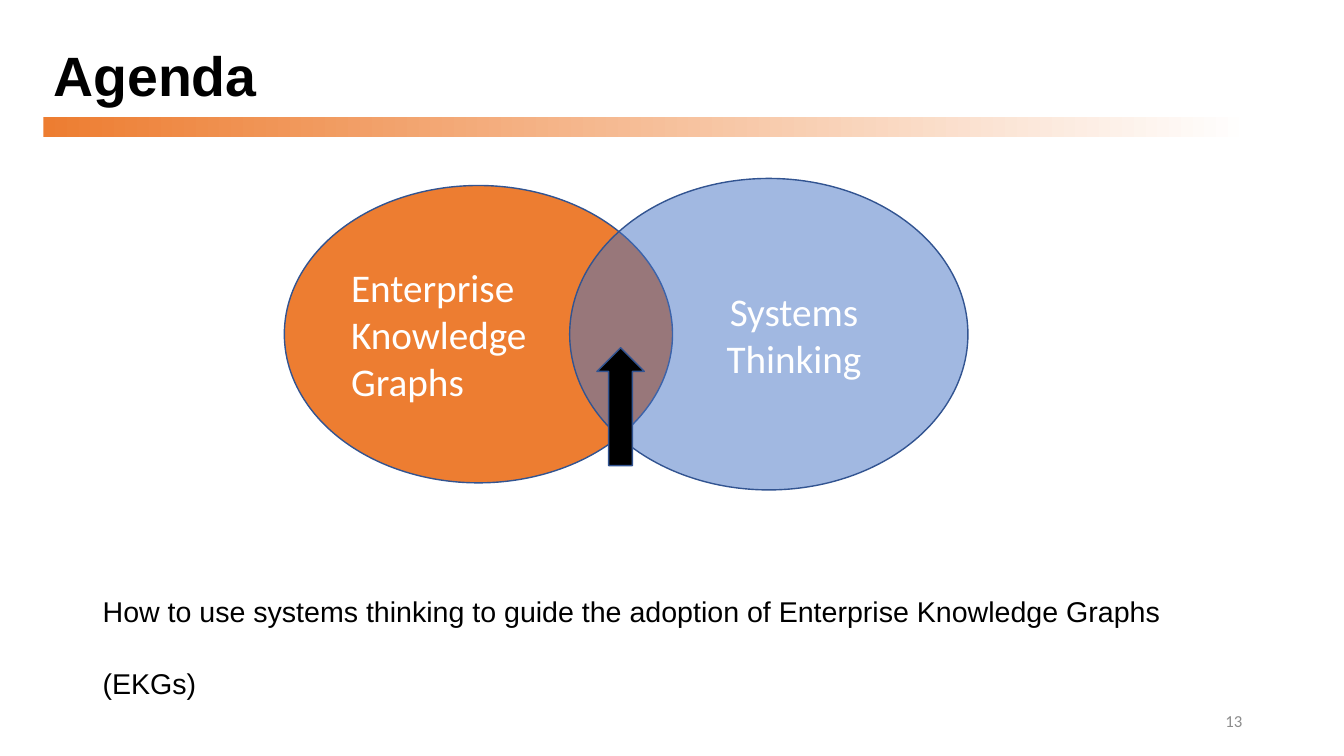
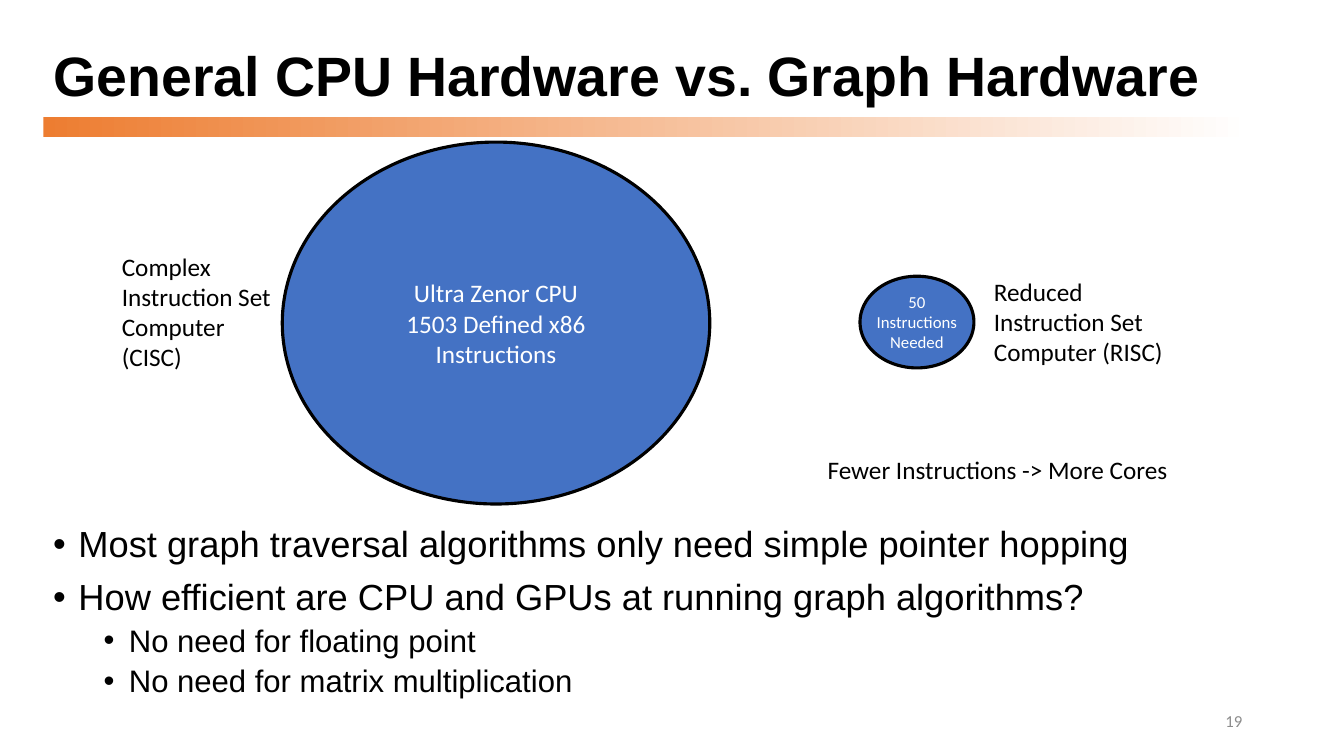
"""Build two slides on enterprise knowledge graphs and graph hardware."""
from dataclasses import dataclass
from typing import Optional

import lxml.etree
import pptx
import pptx.dml.color
import pptx.dml.fill
import pptx.enum.shapes
import pptx.enum.text
import pptx.oxml.ns
import pptx.presentation
import pptx.shapes.autoshape
import pptx.slide
import pptx.text.text
import pptx.util

Inches = pptx.util.Inches
Pt = pptx.util.Pt
Align = pptx.enum.text.PP_ALIGN
Anchor = pptx.enum.text.MSO_ANCHOR
Preset = pptx.enum.shapes.MSO_SHAPE

ORANGE, BLUE, NAVY = "ED7D31", "4472C4", "325491"
BLACK, WHITE, GRAY = "000000", "FFFFFF", "8C8C8C"
HEADING_FONT, LABEL_FONT = "Arial", "Calibri"
EDGE, CONTENT_WIDTH = 0.43, 11.98

Bounds = tuple[float, float, float, float]


@dataclass(frozen=True)
class TextStyle:
    size: float
    font: str = LABEL_FONT
    color: str = BLACK
    bold: bool = False
    align: Align = Align.LEFT
    spacing: float = 1.0
    before: float = 0
    margin: float = 0
    bullet: bool = False


@dataclass(frozen=True)
class Line:
    text: str
    style: TextStyle


@dataclass(frozen=True)
class Figure:
    preset: Preset
    bounds: Bounds
    fill: str
    outline: str
    weight: float
    lines: tuple[Line, ...] = ()
    opacity: Optional[int] = None
    side_inset: float = 0.1


@dataclass(frozen=True)
class Label:
    bounds: Bounds
    lines: tuple[Line, ...]
    anchor: Anchor = Anchor.TOP


TITLE = TextStyle(39.6, HEADING_FONT, bold=True, spacing=0.9)
NUMBER = TextStyle(12, color=GRAY, align=Align.RIGHT)
SUMMARY = TextStyle(20.4, HEADING_FONT, spacing=2.1, before=10)
BULLET = TextStyle(25.9, HEADING_FONT, spacing=0.9, before=10, margin=0.25, bullet=True)
SUB_BULLET = TextStyle(22.2, HEADING_FONT, spacing=0.9, before=5, margin=0.75, bullet=True)
CAPTION = TextStyle(18)
LEFT_TOPIC = TextStyle(28, color=WHITE)
RIGHT_TOPIC = TextStyle(28, color=WHITE, align=Align.CENTER, margin=0.5)
LARGE_CHIP = TextStyle(18, color=WHITE, align=Align.CENTER)
SMALL_CHIP = TextStyle(12, color=WHITE, align=Align.CENTER)


def rgb(value: str) -> pptx.dml.color.RGBColor:
    """Turn a hex string into a colour."""
    return pptx.dml.color.RGBColor.from_string(value)


def lines(style: TextStyle, *texts: str) -> tuple[Line, ...]:
    """Give several lines the same style."""
    return tuple(Line(text, style) for text in texts)


def place(shape: pptx.shapes.autoshape.Shape, bounds: Bounds) -> None:
    """Move and size a shape."""
    shape.left, shape.top, shape.width, shape.height = map(Inches, bounds)


def write(frame: pptx.text.text.TextFrame, content: tuple[Line, ...], anchor: Anchor) -> None:
    """Fill a text frame with styled paragraphs."""
    frame.word_wrap = True
    frame.auto_size = pptx.enum.text.MSO_AUTO_SIZE.NONE
    frame.vertical_anchor = anchor
    for index, line in enumerate(content):
        style = line.style
        para = frame.add_paragraph() if index else frame.paragraphs[0]
        para.alignment = style.align
        para.line_spacing = style.spacing
        para.space_before = Pt(style.before)
        properties = para._p.get_or_add_pPr()
        if style.margin:
            properties.set("marL", str(Inches(style.margin)))
        if style.bullet:
            properties.set("indent", str(Inches(-0.25)))
            for tag, key, value in (("a:buFont", "typeface", "Arial"), ("a:buChar", "char", "•")):
                lxml.etree.SubElement(properties, pptx.oxml.ns.qn(tag)).set(key, value)
        span = para.add_run()
        span.text = line.text
        span.font.name = style.font
        span.font.size = Pt(style.size)
        span.font.bold = style.bold
        span.font.color.rgb = rgb(style.color)


def set_opacity(fill: pptx.dml.fill.FillFormat, shape: pptx.shapes.autoshape.Shape, percent: int) -> None:
    """Make a solid fill see-through."""
    color = shape.element.spPr.find(pptx.oxml.ns.qn("a:solidFill"))[0]
    lxml.etree.SubElement(color, pptx.oxml.ns.qn("a:alpha")).set("val", str(percent * 1000))


def add_figure(page: pptx.slide.Slide, figure: Figure) -> None:
    """Draw an outlined shape with its text."""
    shape = page.shapes.add_shape(figure.preset, *map(Inches, figure.bounds))
    shape.shadow.inherit = False
    shape.fill.solid()
    shape.fill.fore_color.rgb = rgb(figure.fill)
    if figure.opacity is not None:
        set_opacity(shape.fill, shape, figure.opacity)
    shape.line.color.rgb = rgb(figure.outline)
    shape.line.width = Pt(figure.weight)
    frame = shape.text_frame
    frame.margin_left = frame.margin_right = Inches(figure.side_inset)
    write(frame, figure.lines, Anchor.MIDDLE)


def add_label(page: pptx.slide.Slide, label: Label) -> None:
    """Draw a text box."""
    box = page.shapes.add_textbox(*map(Inches, label.bounds))
    write(box.text_frame, label.lines, label.anchor)


def add_band(layout: pptx.slide.SlideLayout, page: pptx.slide.Slide) -> None:
    """Put the fading band under the title on the shared layout."""
    band = page.shapes.add_shape(Preset.RECTANGLE, *map(Inches, (EDGE, 1.16, CONTENT_WIDTH, 0.2)))
    band.shadow.inherit = False
    band.line.fill.background()
    band.fill.gradient()
    band.fill.gradient_angle = 0
    for stop, color in zip(band.fill.gradient_stops, (ORANGE, WHITE)):
        stop.color.rgb = rgb(color)
    layout.shapes.element.insert(2, band.element)


def add_page(deck: pptx.presentation.Presentation, title: str, number: int,
             items: tuple[Figure | Label, ...]) -> pptx.slide.Slide:
    """Add a slide with title, number and content."""
    page = deck.slides.add_slide(deck.slide_layouts[5])
    place(page.shapes.title, (EDGE, 0.4, CONTENT_WIDTH, 0.76))
    write(page.shapes.title.text_frame, lines(TITLE, title), Anchor.MIDDLE)
    add_label(page, Label((9.42, 6.95, 3, 0.4), lines(NUMBER, str(number)), Anchor.MIDDLE))
    for item in items:
        if isinstance(item, Figure):
            add_figure(page, item)
        else:
            add_label(page, item)
    return page


AGENDA = (
    Label((0.92, 5.47, 11.5, 1.28), lines(
        SUMMARY, "How to use systems thinking to guide the adoption of Enterprise Knowledge Graphs (EKGs)")),
    Figure(Preset.OVAL, (2.82, 1.84, 3.85, 2.95), ORANGE, NAVY, 1,
           lines(LEFT_TOPIC, "Enterprise", "Knowledge", "Graphs")),
    Figure(Preset.OVAL, (5.65, 1.77, 3.95, 3.09), BLUE, NAVY, 1,
           lines(RIGHT_TOPIC, "Systems", "Thinking"), opacity=50),
    Figure(Preset.UP_ARROW, (5.92, 3.45, 0.47, 1.17), BLACK, NAVY, 1),
)

HARDWARE = (
    Label((EDGE, 5.17, 11.5, 2.04),
          lines(BULLET, "Most graph traversal algorithms only need simple pointer hopping",
                "How efficient are CPU and GPUs at running graph algorithms?")
          + lines(SUB_BULLET, "No need for floating point", "No need for matrix multiplication")),
    Figure(Preset.OVAL, (2.8, 1.41, 4.24, 3.59), BLUE, BLACK, 2.25,
           lines(LARGE_CHIP, "Ultra Zenor CPU", "1503 Defined x86 Instructions")),
    Figure(Preset.OVAL, (8.53, 2.74, 1.13, 0.91), BLUE, BLACK, 2.25,
           lines(SMALL_CHIP, "50 Instructions", "Needed"), side_inset=0),
    Label((1.11, 2.44, 1.69, 1.62), lines(CAPTION, "Complex Instruction Set Computer (CISC)")),
    Label((9.76, 2.69, 2.03, 1.01), lines(CAPTION, "Reduced Instruction Set Computer (RISC)")),
    Label((8.11, 4.46, 3.96, 0.4), lines(CAPTION, "Fewer Instructions -> More Cores")),
)


def main() -> None:
    """Build and save the deck."""
    deck = pptx.Presentation()
    deck.slide_width, deck.slide_height = Inches(13.33), Inches(7.5)
    agenda_page = add_page(deck, "Agenda", 13, AGENDA)
    add_band(deck.slide_layouts[5], agenda_page)
    add_page(deck, "General CPU Hardware vs. Graph Hardware", 19, HARDWARE)
    deck.save("out.pptx")


main()
